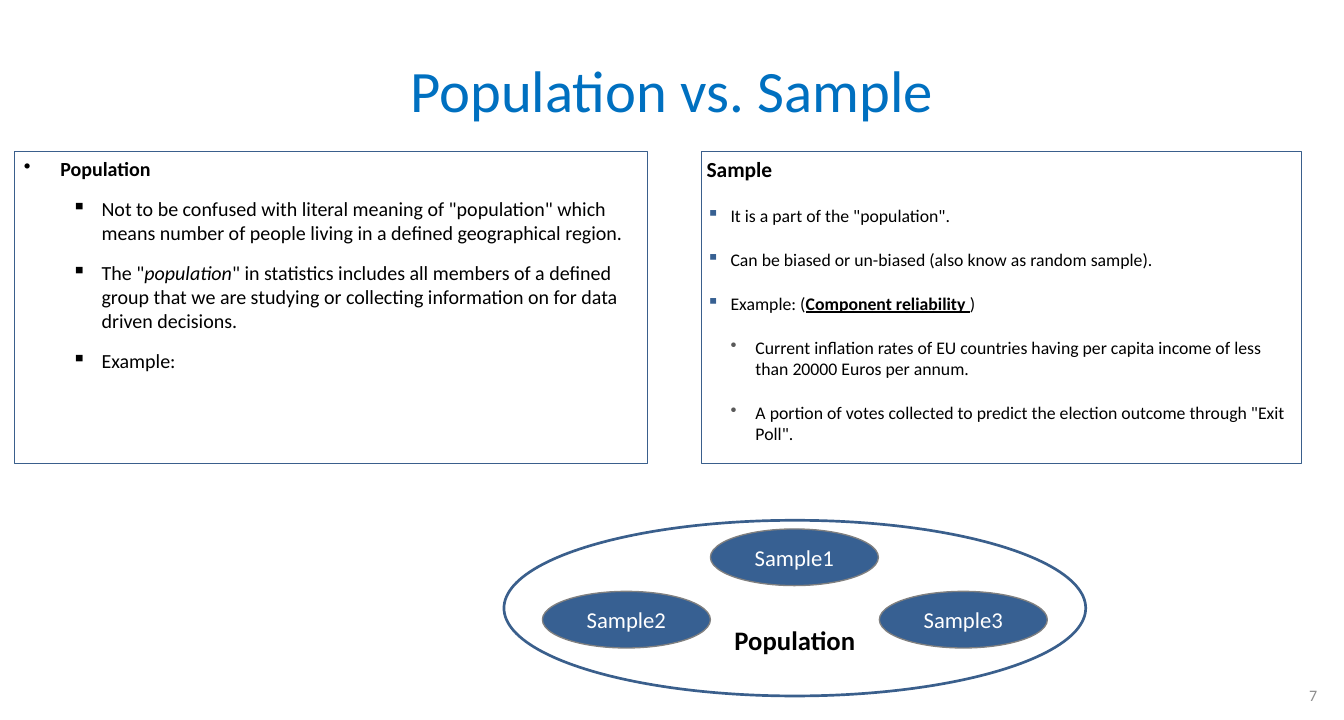
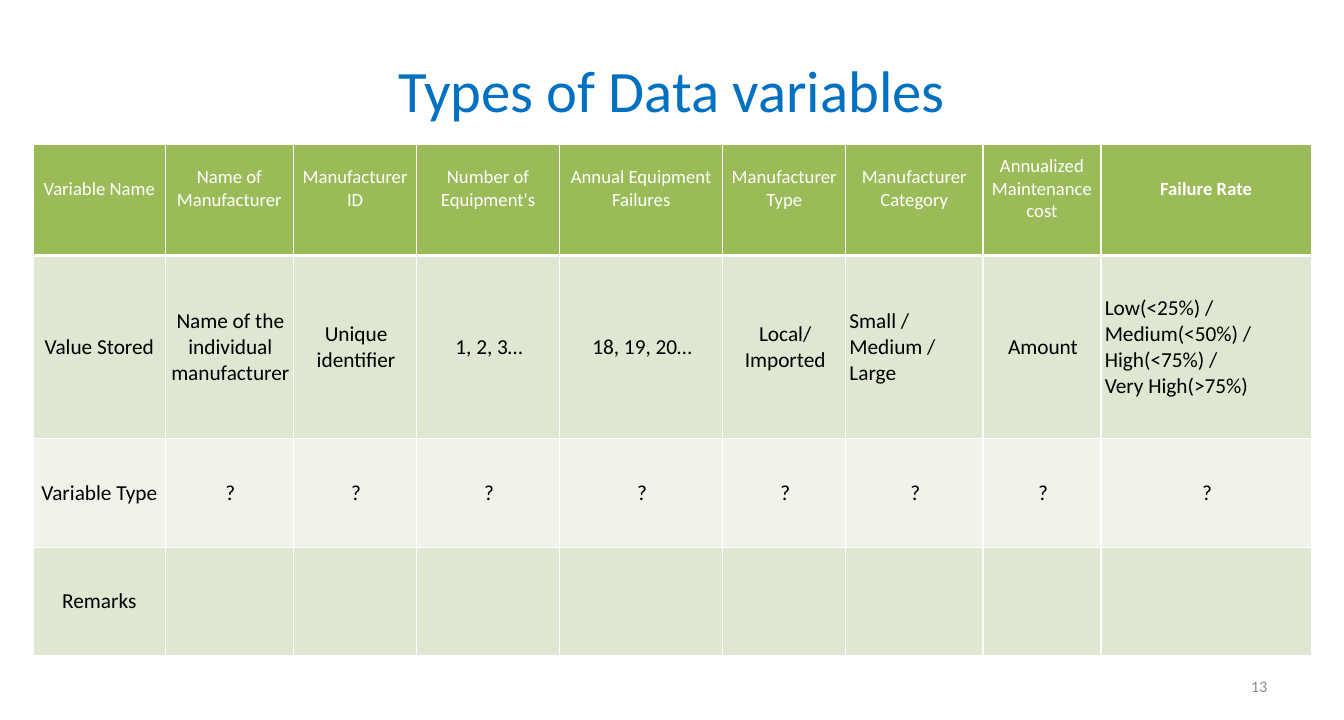
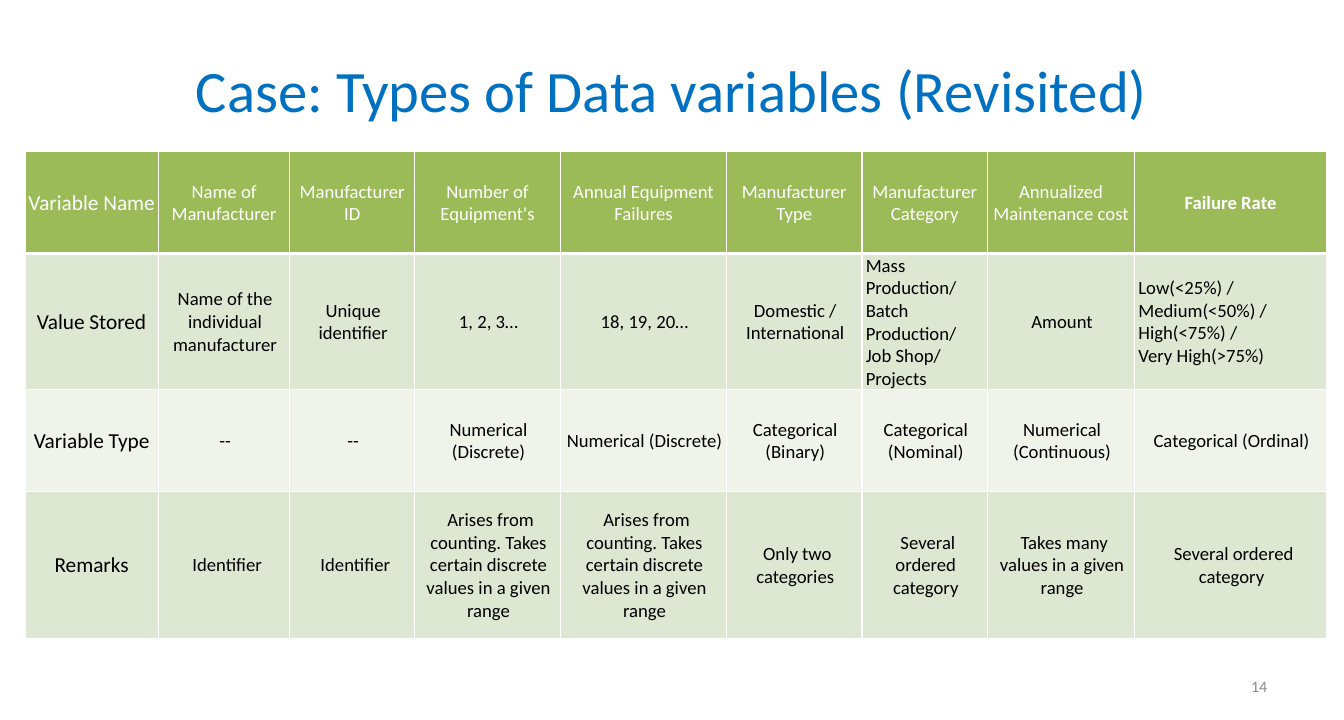
from dataclasses import dataclass

from lxml.etree import SubElement
from pptx import Presentation
from pptx.dml.color import RGBColor
from pptx.enum.shapes import MSO_SHAPE
from pptx.enum.text import MSO_ANCHOR, PP_ALIGN
from pptx.oxml.ns import qn
from pptx.util import Inches, Pt


@dataclass(frozen=True)
class Theme:
    font: str = "Calibri"
    title: str = "0070C0"
    text: str = "000000"
    white: str = "FFFFFF"
    muted: str = "8C8C8C"
    outline: str = "3A5F8C"
    sample: str = "376092"
    sample_edge: str = "808080"
    sub_bullet: str = "595959"
    header: str = "9BBB59"
    band_dark: str = "DEE7D1"
    band_light: str = "EFF3EA"
    title_size: float = 44
    number_size: float = 12
    population_size: float = 15
    sample_head_size: float = 16.1
    sample_size: float = 13.3
    ellipse_size: float = 17
    ellipse_label_size: float = 20
    small_cell: float = 14
    large_cell: float = 16


T = Theme()
CENTER, LEFT, RIGHT = PP_ALIGN.CENTER, PP_ALIGN.LEFT, PP_ALIGN.RIGHT
DEFAULT_INSETS = (0.1, 0.05, 0.1, 0.05)

# Each point: level, then text or a list of (text, style letters)
POPULATION = [
    (0, [("Population", "b")]),
    (1, "Not to be confused with literal meaning of \"population\" which means "
        "number of people living in a defined geographical region."),
    (1, [("The \"", ""), ("population", "i"),
         ("\" in statistics includes all members of a defined group that we are "
          "studying or collecting information on for data driven decisions.", "")]),
    (1, "Example:"),
]
SAMPLE = [
    (0, [("Sample", "b")]),
    (1, "It is a part of the \"population\"."),
    (1, "Can be biased or un-biased (also know as random sample)."),
    (1, [("Example: (", ""), ("Component reliability ", "bu"), (")", "")]),
    (2, "Current inflation rates of EU countries having per capita income of less "
        "than 20000 Euros per annum."),
    (2, "A portion of votes collected to predict the election outcome through "
        "\"Exit Poll\"."),
]
# Format of each level
POPULATION_LEVELS = [
    dict(size=T.population_size, indent=(0.38, -0.38), bullet="•"),
    dict(size=T.population_size, indent=(0.81, -0.31), bullet="▪"),
]
SAMPLE_LEVELS = [
    dict(size=T.sample_head_size),
    dict(size=T.sample_size, indent=(0.25, -0.25), bullet="▪", bullet_color=T.sample),
    dict(size=T.sample_size, indent=(0.51, -0.26), bullet="•", bullet_color=T.sub_bullet),
]
SAMPLE_ELLIPSES = [("Sample2", 5.65, 6.16), ("Sample1", 7.4, 5.51), ("Sample3", 9.16, 6.16)]

HEADER = ["Variable Name", "Name of Manufacturer", "Manufacturer ID",
          "Number of Equipment's", "Annual Equipment Failures", "Manufacturer Type",
          "Manufacturer Category", "Annualized Maintenance cost", "Failure Rate"]
SHARED_VALUES = ["Value Stored", "Name of the individual manufacturer",
                 "Unique identifier", "1, 2, 3…", "18, 19, 20…"]
RATES = "Low(<25%) /\nMedium(<50%) /\nHigh(<75%) /\nVery High(>75%)"
COUNTING = " Arises from counting. Takes certain discrete values in a given range"

QUESTION_TABLE = dict(
    at=(0.35, 1.5),
    cols=[1.37, 1.34, 1.28, 1.49, 1.7, 1.28, 1.43, 1.23, 2.19],
    heights=[1.16, 1.91, 1.13, 1.13],
    rows=[
        HEADER,
        SHARED_VALUES + ["Local/Imported", "Small / Medium / Large", "Amount", RATES],
        ["Variable Type"] + ["?"] * 8,
        ["Remarks"] + [""] * 8,
    ],
    corner_size=T.small_cell, body_size=T.large_cell,
    header_insets=(0.01, 0.01, 0.01, 0.24),
    label_insets=(0.02, 0.02, 0.02, 0.02), body_insets=(0.04, 0.02, 0.02, 0.02),
)
ANSWER_TABLE = dict(
    at=(0.26, 1.58),
    cols=[1.39, 1.37, 1.3, 1.52, 1.73, 1.41, 1.31, 1.53, 2],
    heights=[1.06, 1.42, 1.06, 1.53],
    rows=[
        HEADER,
        SHARED_VALUES + ["Domestic /\nInternational",
                         "Mass Production/ Batch Production/ Job Shop/ Projects",
                         "Amount", RATES],
        ["Variable Type", "--", "--", "Numerical (Discrete)", "Numerical (Discrete)",
         "Categorical (Binary)", "Categorical (Nominal)", "Numerical (Continuous)",
         "Categorical (Ordinal)"],
        ["Remarks", " Identifier", " Identifier", COUNTING, COUNTING,
         " Only two categories", " Several ordered category",
         " Takes many values in a given range", " Several ordered category"],
    ],
    corner_size=T.large_cell, body_size=T.small_cell,
    header_insets=(0.01, 0.01, 0.01, 0),
    label_insets=(0.01, 0.01, 0.01, 0), body_insets=(0.04, 0.01, 0.02, 0),
)
ROW_FILLS = [T.header, T.band_dark, T.band_light, T.band_dark]
LEFT_COLUMNS = {6, 8}   # their stored values are lists, set flush left


def rgb(value):
    return RGBColor.from_string(value)


def write(tf, text, size, color=T.text, bold=False, align=LEFT, level=0,
          before=0, after=0, indent=None, bullet=None, bullet_color=None):
    """Add one paragraph, filling the first one if it is still empty."""
    p = tf.paragraphs[0]
    if p.runs:
        p = tf.add_paragraph()
    p.alignment, p.level = align, level
    p.space_before, p.space_after = Pt(before), Pt(after)
    pPr = p._p.get_or_add_pPr()
    if indent:
        pPr.set("marL", str(Inches(indent[0])))
        pPr.set("indent", str(Inches(indent[1])))
    if bullet:
        if bullet_color:
            clr = SubElement(pPr, qn("a:buClr"))
            SubElement(clr, qn("a:srgbClr"), val=bullet_color)
        SubElement(pPr, qn("a:buChar"), char=bullet)
    runs = [(text, "b" if bold else "")] if isinstance(text, str) else text
    for words, style in runs:
        for i, line in enumerate(words.split("\n")):
            if i:
                p.add_line_break()
            r = p.add_run()
            r.text = line
            f = r.font
            f.name, f.size, f.color.rgb = T.font, Pt(size), rgb(color)
            f.bold, f.italic, f.underline = "b" in style, "i" in style, "u" in style


def set_frame(tf, insets=DEFAULT_INSETS, anchor=MSO_ANCHOR.MIDDLE):
    tf.word_wrap = True
    tf.vertical_anchor = anchor
    (tf.margin_left, tf.margin_top,
     tf.margin_right, tf.margin_bottom) = map(Inches, insets)
    return tf


def add_label(s, text, at, **fmt):
    write(set_frame(s.shapes.add_textbox(*map(Inches, at)).text_frame), text, **fmt)


def add_outline(shapes, kind, at, line, width, fill=None, **frame):
    """Add a preset shape and return its text frame."""
    sp = shapes.add_shape(kind, *map(Inches, at))
    sp.shadow.inherit = False
    if fill:
        sp.fill.solid()
        sp.fill.fore_color.rgb = rgb(fill)
    else:
        sp.fill.background()
    sp.line.color.rgb, sp.line.width = rgb(line), Pt(width)
    return set_frame(sp.text_frame, **frame)


def add_points(s, at, points, levels, before, after, insets=DEFAULT_INSETS):
    tf = add_outline(s.shapes, MSO_SHAPE.RECTANGLE, at, T.outline, 0.75,
                     insets=insets, anchor=MSO_ANCHOR.TOP)
    for level, text in points:
        write(tf, text, level=level, before=before, after=after, **levels[level])


def add_ellipses(s):
    shapes = s.shapes.add_group_shape().shapes
    tf = add_outline(shapes, MSO_SHAPE.OVAL, (5.25, 5.42, 6.06, 1.83), T.outline, 2,
                     insets=(0, 0.7, 0, 0.05))
    write(tf, "Population", T.ellipse_label_size, bold=True, align=CENTER)
    for name, x, y in SAMPLE_ELLIPSES:
        tf = add_outline(shapes, MSO_SHAPE.OVAL, (x, y, 1.75, 0.59),
                         T.sample_edge, 1, fill=T.sample)
        write(tf, name, T.ellipse_size, color=T.white, align=CENTER)


def set_borders(cell, bottom):
    tcPr = cell._tc.get_or_add_tcPr()
    for side, width in (("L", 1), ("R", 1), ("T", 1), ("B", bottom)):
        ln = SubElement(tcPr, qn(f"a:ln{side}"), w=str(Pt(width)))
        SubElement(SubElement(ln, qn("a:solidFill")), qn("a:srgbClr"), val=T.white)


def fill_cell(cell, text, row, col, data):
    header, label = row == 0, col == 0
    set_borders(cell, 3 if header else 1)
    cell.fill.solid()
    cell.fill.fore_color.rgb = rgb(ROW_FILLS[row])
    cell.vertical_anchor = MSO_ANCHOR.MIDDLE
    if not text:
        return
    kind = "header" if header else "label" if label else "body"
    (cell.margin_left, cell.margin_top,
     cell.margin_right, cell.margin_bottom) = map(Inches, data[f"{kind}_insets"])
    if header:
        size = data["corner_size"] if label else T.small_cell
    else:
        size = T.large_cell if label else data["body_size"]
    write(cell.text_frame, text, size, color=T.white if header else T.text,
          bold=header and col == len(HEADER) - 1,
          align=LEFT if row == 1 and col in LEFT_COLUMNS else CENTER)


def add_variables(s, data):
    cols, heights = data["cols"], data["heights"]
    box = (*data["at"], sum(cols), sum(heights))
    table = s.shapes.add_table(len(heights), len(cols), *map(Inches, box)).table
    table.first_row = table.horz_banding = False
    for column, width in zip(table.columns, cols):
        column.width = Inches(width)
    for row, height in zip(table.rows, heights):
        row.height = Inches(height)
    for i, texts in enumerate(data["rows"]):
        for j, text in enumerate(texts):
            fill_cell(table.cell(i, j), text, i, j, data)


def add_slide(prs, title, number, number_at=(10.03, 6.95, 3.27, 0.4)):
    s = prs.slides.add_slide(prs.slide_layouts[6])
    add_label(s, title, (0.7, 0.3, 12.6, 1.25),
              size=T.title_size, color=T.title, align=CENTER)
    add_label(s, number, number_at, size=T.number_size, color=T.muted, align=RIGHT)
    return s


def main():
    prs = Presentation()
    prs.slide_width, prs.slide_height = Inches(14), Inches(7.5)

    s = add_slide(prs, "Population vs. Sample", "7", (12.31, 7.04, 1.51, 0.4))
    add_points(s, (0.15, 1.58, 6.59, 3.25), POPULATION, POPULATION_LEVELS, 6, 6)
    add_points(s, (7.31, 1.58, 6.25, 3.25), SAMPLE, SAMPLE_LEVELS, 8, 9, insets=(0.05,) * 4)
    add_ellipses(s)

    add_variables(add_slide(prs, "Types of Data variables", "13"), QUESTION_TABLE)
    add_variables(add_slide(prs, "Case: Types of Data variables (Revisited)", "14"),
                  ANSWER_TABLE)
    prs.save("out.pptx")


if __name__ == "__main__":
    main()
